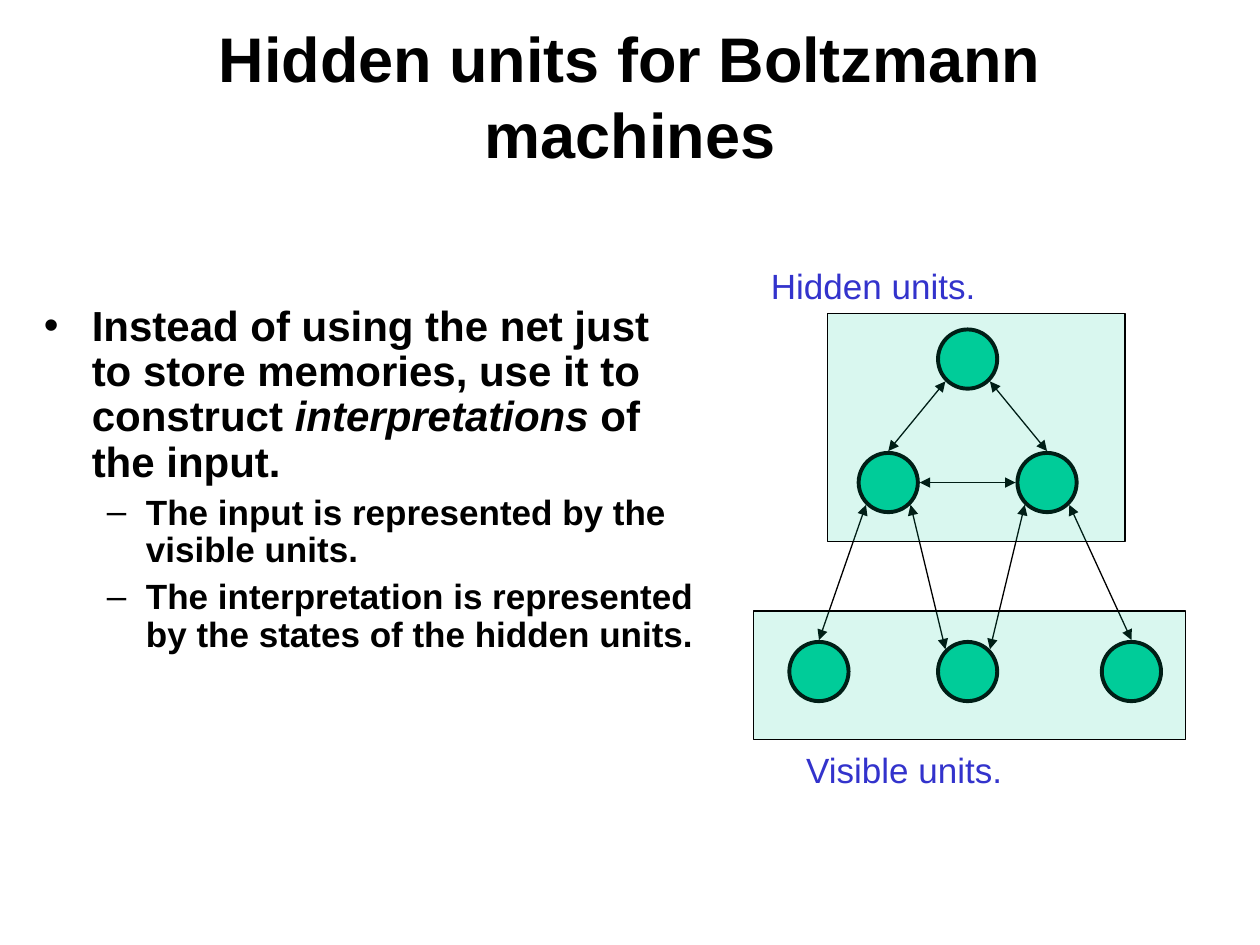
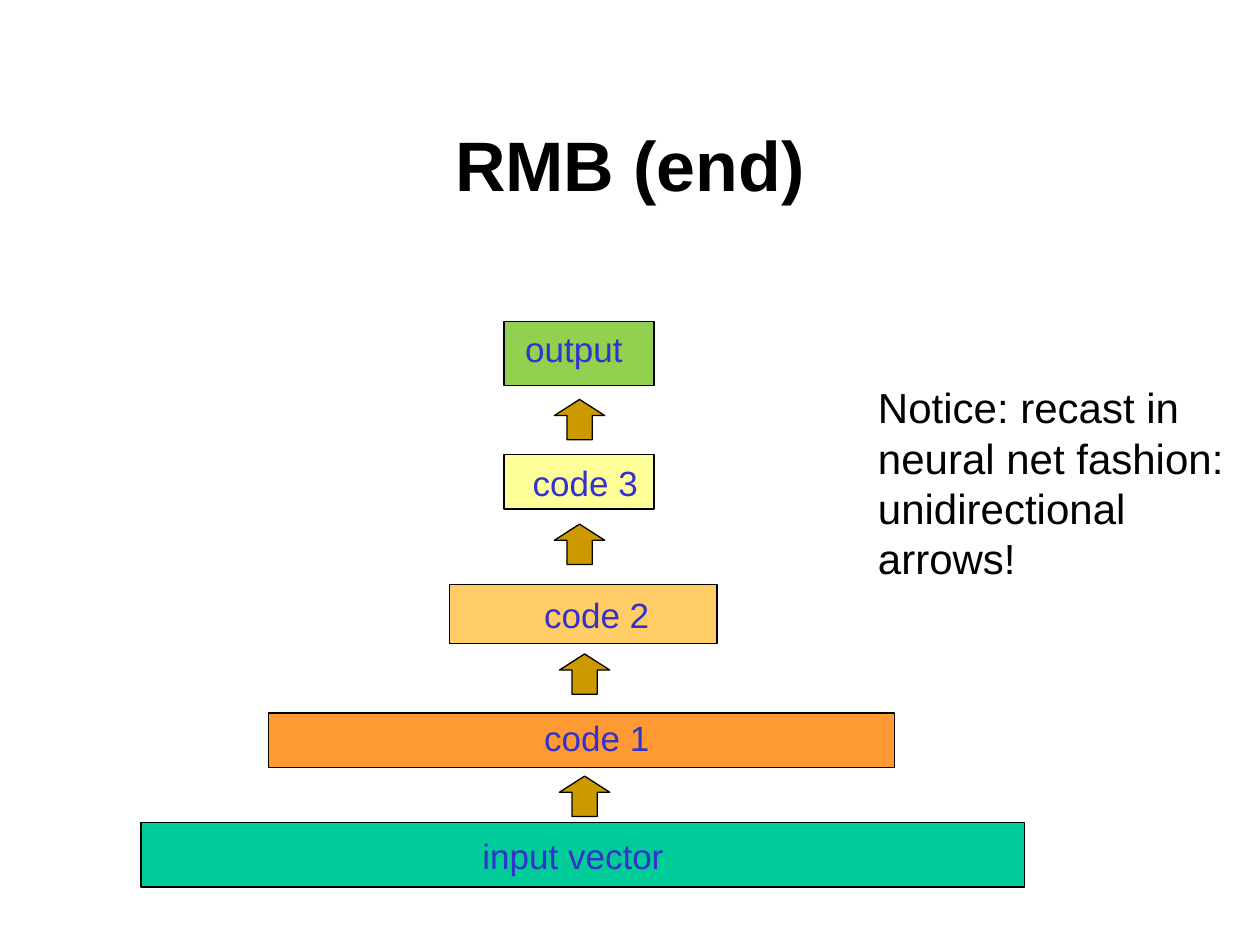
"""Build two slides on Boltzmann machines and stacked codes."""
from math import cos, radians, sin

from lxml.etree import SubElement
from pptx import Presentation
from pptx.dml.color import RGBColor
from pptx.enum.shapes import MSO_CONNECTOR as Connector, MSO_SHAPE as Shape
from pptx.enum.text import MSO_ANCHOR as Anchor, PP_ALIGN as Align
from pptx.oxml.ns import qn
from pptx.util import Inches, Pt

FONT = "Arial"
BLACK = RGBColor(0x00, 0x00, 0x00)
LABEL_BLUE = RGBColor(0x33, 0x33, 0xCC)
TEAL = RGBColor(0x00, 0xCC, 0x99)
ORANGE = RGBColor(0xFF, 0x99, 0x33)
AMBER = RGBColor(0xFF, 0xCC, 0x66)
YELLOW = RGBColor(0xFF, 0xFF, 0x99)
GREEN = RGBColor(0x92, 0xD0, 0x50)
GOLD = RGBColor(0xCC, 0x99, 0x00)

NODE_SIZE = 0.47
LINK_RADIUS = 0.25
LABEL_HEIGHT = 0.44

NODES = {
    "top": (7.68, 2.85),
    "left": (7.05, 3.83),
    "right": (8.31, 3.83),
    "visible 1": (6.5, 5.33),
    "visible 2": (7.68, 5.33),
    "visible 3": (8.98, 5.33),
}
LINKS = [
    ("left", 90, "top", 225),
    ("top", 315, "right", 90),
    ("visible 1", 90, "left", 225),
    ("left", 0, "right", 180),
    ("left", 315, "visible 2", 135),
    ("visible 2", 45, "right", 225),
    ("right", 315, "visible 3", 90),
]
PANELS = [(5.98, 4.85, 3.43, 1.02), (6.57, 2.49, 2.36, 1.81)]
LAYERS = [
    ("input vector", TEAL, (1.12, 6.53, 7.01, 0.51), (3.73, 6.57, 3.49)),
    ("code 1", ORANGE, (2.13, 5.66, 4.97, 0.43), (4.22, 5.64, 2.99)),
    ("code 2", AMBER, (3.57, 4.64, 2.12, 0.47), (4.22, 4.66, 2.63)),
    ("code 3", YELLOW, (4, 3.61, 1.19, 0.43), (4.13, 3.61, 1.16)),
    ("output", GREEN, (4, 2.55, 1.19, 0.51), (4.07, 2.55, 1.54)),
]
ARROWS = [(4.44, 6.16), (4.44, 5.19), (4.4, 4.16), (4.4, 3.17)]


def inches(values):
    """Convert a sequence of numbers to lengths."""
    return [Inches(value) for value in values]


def write(paragraph, text, size=20, color=BLACK, bold=False):
    """Fill a paragraph, setting the parts between asterisks in italics."""
    for index, part in enumerate(text.split("*")):
        run = paragraph.add_run()
        run.text = part
        run.font.name = FONT
        run.font.size = Pt(size)
        run.font.bold = bold
        run.font.italic = index % 2 == 1
        run.font.color.rgb = color


def add_text(slide, box, *texts, align=Align.LEFT, anchor=Anchor.TOP, wrap=True, **style):
    """Add a text box with one paragraph for each text."""
    frame = slide.shapes.add_textbox(*inches(box)).text_frame
    frame.word_wrap = wrap
    frame.vertical_anchor = anchor
    for index, text in enumerate(texts):
        paragraph = frame.add_paragraph() if index else frame.paragraphs[0]
        paragraph.alignment = align
        write(paragraph, text, **style)
    return frame


def add_title(slide, box, text, size):
    """Add a bold centred title."""
    add_text(slide, box, text, size=size, bold=True, align=Align.CENTER, anchor=Anchor.MIDDLE)


def add_label(slide, place, text):
    """Add a blue one-line label at a left, top and width."""
    add_text(slide, (*place, LABEL_HEIGHT), text, color=LABEL_BLUE)


def set_bullet(paragraph, mark, margin, indent, space):
    """Give a paragraph a bullet, a hanging indent and tight line spacing."""
    paragraph.line_spacing = 0.9
    if space:
        paragraph.space_before = Pt(space)
    properties = paragraph._p.get_or_add_pPr()
    properties.set("marL", str(Inches(margin)))
    properties.set("indent", str(Inches(-indent)))
    SubElement(properties, qn("a:buFont"), typeface=FONT)
    SubElement(properties, qn("a:buChar"), char=mark)


def add_bullets(slide, box, main_point, details):
    """Add one main bullet followed by smaller dashed ones."""
    frame = add_text(slide, box, main_point, size=24, bold=True)
    set_bullet(frame.paragraphs[0], "•", 0.38, 0.38, 0)
    for detail in details:
        paragraph = frame.add_paragraph()
        paragraph.level = 1
        set_bullet(paragraph, "–", 0.81, 0.31, 5)
        write(paragraph, detail, bold=True)


def add_filled(slide, kind, box, color, line_width=0.75, alpha=None):
    """Add a black-outlined preset shape, optionally see-through."""
    shape = slide.shapes.add_shape(kind, *inches(box))
    shape.shadow.inherit = False
    shape.fill.solid()
    shape.fill.fore_color.rgb = color
    shape.line.color.rgb = BLACK
    shape.line.width = Pt(line_width)
    if alpha is not None:
        fill_color = shape._element.spPr.find(qn("a:solidFill"))[0]
        SubElement(fill_color, qn("a:alpha"), val=str(alpha * 1000))
    return shape


def add_node(slide, center):
    """Add a round unit around its centre."""
    x, y = center
    half = NODE_SIZE / 2
    add_filled(slide, Shape.OVAL, (x - half, y - half, NODE_SIZE, NODE_SIZE), TEAL, line_width=2.25)


def rim_point(node, degrees):
    """Return the point just outside a unit at an angle."""
    x, y = NODES[node]
    angle = radians(degrees)
    return inches((x + LINK_RADIUS * cos(angle), y - LINK_RADIUS * sin(angle)))


def add_link(slide, start, start_angle, end, end_angle):
    """Add a two-headed arrow between the rims of two units."""
    points = rim_point(start, start_angle) + rim_point(end, end_angle)
    link = slide.shapes.add_connector(Connector.STRAIGHT, *points)
    link.line.color.rgb = BLACK
    link.line.width = Pt(0.75)
    line = link.line._get_or_add_ln()
    for tag in ("a:headEnd", "a:tailEnd"):
        SubElement(line, qn(tag), type="triangle")
    SubElement(link._element.spPr, qn("a:effectLst"))


def add_up_arrow(slide, place):
    """Add a gold block arrow pointing up."""
    arrow = add_filled(slide, Shape.UP_ARROW, (*place, 0.4, 0.32), GOLD)
    arrow.adjustments[1] = 0.4


def build_hidden_units(slide):
    """Build the slide with the network of hidden and visible units."""
    add_title(slide, (0.5, 0.13, 9, 1.25), "Hidden units for Boltzmann machines", 36)
    add_bullets(
        slide,
        (0.25, 2.37, 5.39, 4.54),
        "Instead of using the net just to store memories, use it to construct "
        "*interpretations* of the input.",
        [
            "The input is represented by the visible units.",
            "The interpretation is represented by the states of the hidden units.",
        ],
    )
    for center in NODES.values():
        add_node(slide, center)
    for link in LINKS:
        add_link(slide, *link)
    for panel in PANELS:
        add_filled(slide, Shape.RECTANGLE, panel, TEAL, alpha=15)
    add_label(slide, (6.3, 5.89, 2.84), "Visible units.")
    add_label(slide, (6.02, 2.05, 3.47), "Hidden units.")


def build_code_stack(slide):
    """Build the slide with the stack of codes from input to output."""
    add_title(slide, (0.75, 0.67, 8.5, 1.25), "RMB (end)", 40)
    for text, color, box, label_place in LAYERS:
        add_filled(slide, Shape.RECTANGLE, box, color)
        add_label(slide, label_place, text)
    for place in ARROWS:
        add_up_arrow(slide, place)
    add_text(
        slide,
        (6.87, 2.98, 2.94, 1.7),
        "Notice: recast in",
        "neural net fashion:",
        "unidirectional",
        "arrows!",
        size=24,
        wrap=False,
    )


def main():
    """Build and save the presentation."""
    presentation = Presentation()
    presentation.slide_width = Inches(10)
    presentation.slide_height = Inches(7.5)
    blank = presentation.slide_layouts[6]
    for build in (build_hidden_units, build_code_stack):
        build(presentation.slides.add_slide(blank))
    presentation.save("out.pptx")


if __name__ == "__main__":
    main()
